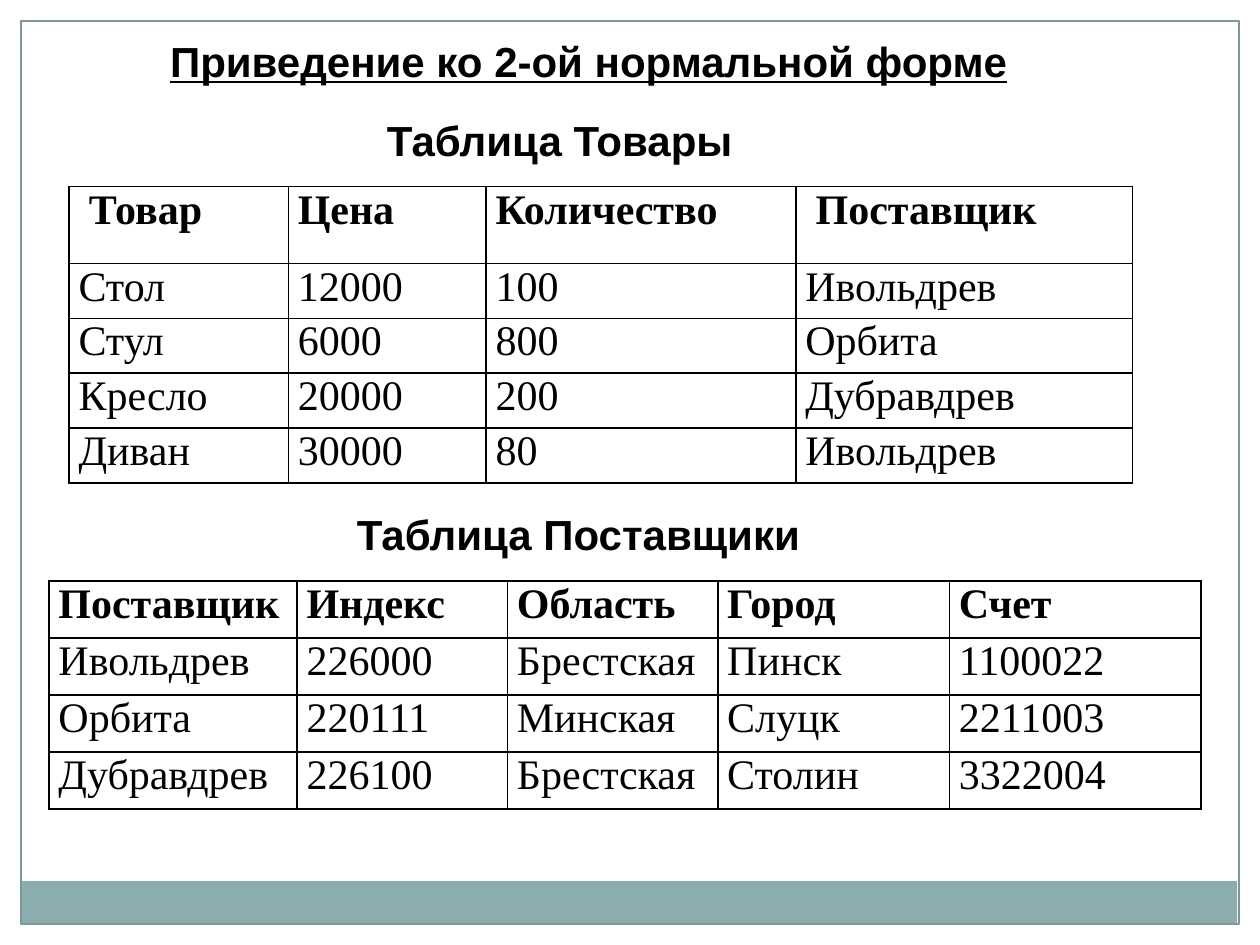
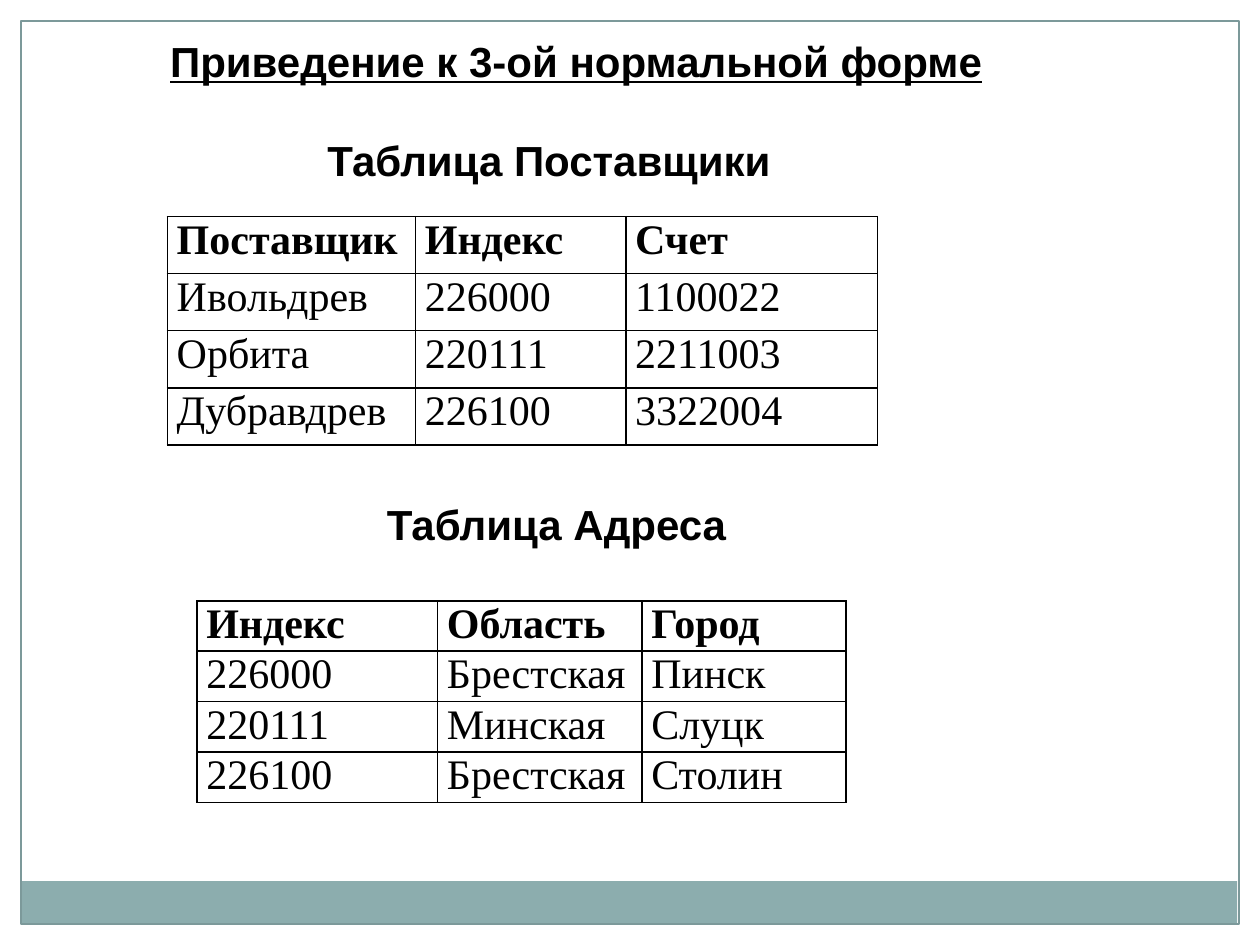
from lxml.etree import SubElement
from pptx import Presentation
from pptx.dml.color import RGBColor
from pptx.enum.shapes import MSO_SHAPE as Shape
from pptx.enum.text import MSO_ANCHOR as Anchor, MSO_AUTO_SIZE as AutoSize, PP_ALIGN as Align
from pptx.oxml.ns import qn
from pptx.util import Pt

BLACK = "000000"
BAND = "8CADAE"
FRAME = "7C999A"
HEADING_FONT = "Arial"
TABLE_FONT = "Times New Roman"
TEXT_SIZE = 24
HEADING_HEIGHT = 36

GOODS = [
    [" Товар", "Цена", "Количество", " Поставщик"],
    ["Стол", "12000", "100", "Ивольдрев"],
    ["Стул", "6000", "800", "Орбита"],
    ["Кресло", "20000", "200", "Дубравдрев"],
    ["Диван", "30000", "80", "Ивольдрев"],
]
SUPPLIERS = [
    ["Поставщик", "Индекс", "Область", "Город", "Счет"],
    ["Ивольдрев", "226000", "Брестская", "Пинск", "1100022"],
    ["Орбита", "220111", "Минская", "Слуцк", "2211003"],
    ["Дубравдрев", "226100", "Брестская", "Столин", "3322004"],
]
GOODS_WIDTHS = [125.3, 113, 177, 192.3]
SUPPLIER_WIDTHS = [141.8, 120.2, 120.2, 132.4, 143.8]
ADDRESS_WIDTHS = [137.5, 116.8, 116.8]
SUPPLIER_ROW = 32.6


def colour(value):
    return RGBColor.from_string(value)


def pick(values, columns):
    return [values[column] for column in columns]


def project(rows, columns):
    return [pick(row, columns) for row in rows]


def set_font(paragraph, name, bold, underline=False):
    font = paragraph.font
    font.name = name
    font.size = Pt(TEXT_SIZE)
    font.bold = bold
    font.underline = underline
    font.color.rgb = colour(BLACK)


def add_rectangle(page, left, top, width, height):
    box = page.shapes.add_shape(Shape.RECTANGLE, Pt(left), Pt(top), Pt(width), Pt(height))
    box.shadow.inherit = False
    return box


def decorate_layout(layout, page):
    band = add_rectangle(page, 12, 503.5, 695, 24.5)
    band.fill.solid()
    band.fill.fore_color.rgb = colour(BAND)
    band.line.fill.background()

    frame = add_rectangle(page, 12, 12, 696, 516)
    frame.fill.background()
    frame.line.color.rgb = colour(FRAME)
    frame.line.width = Pt(0.75)

    for shape in (band, frame):
        layout.shapes.element.append(shape.element)


def format_heading(box, left, top, width, text, underline=False):
    box.left, box.top = Pt(left), Pt(top)
    box.width, box.height = Pt(width), Pt(HEADING_HEIGHT)
    frame = box.text_frame
    frame.text = text
    frame.word_wrap = False
    frame.auto_size = AutoSize.SHAPE_TO_FIT_TEXT
    frame.vertical_anchor = Anchor.TOP
    paragraph = frame.paragraphs[0]
    paragraph.alignment = Align.LEFT
    set_font(paragraph, HEADING_FONT, True, underline)


def add_page(deck, layout, title, width):
    page = deck.slides.add_slide(layout)
    format_heading(page.shapes.title, 90, 16.6, width, title, underline=True)
    return page


def add_caption(page, left, top, width, text):
    box = page.shapes.add_textbox(Pt(left), Pt(top), Pt(width), Pt(HEADING_HEIGHT))
    format_heading(box, left, top, width, text)


def add_borders(cell):
    properties = cell._tc.get_or_add_tcPr()
    for side in ("a:lnL", "a:lnR", "a:lnT", "a:lnB"):
        line = SubElement(properties, qn(side), w=str(Pt(1)))
        fill = SubElement(line, qn("a:solidFill"))
        SubElement(fill, qn("a:srgbClr"), val=BLACK)


def format_cell(cell, text, bold):
    cell.text = text
    cell.margin_left = cell.margin_right = Pt(5.4)
    cell.margin_top = cell.margin_bottom = 0
    add_borders(cell)
    cell.fill.background()
    paragraph = cell.text_frame.paragraphs[0]
    paragraph.alignment = Align.JUSTIFY
    set_font(paragraph, TABLE_FONT, bold)


def add_grid(page, left, top, widths, rows, row_height, header_height=None):
    heights = [header_height or row_height] + [row_height] * (len(rows) - 1)
    table = page.shapes.add_table(
        len(rows), len(widths), Pt(left), Pt(top), Pt(sum(widths)), Pt(sum(heights))
    ).table
    table.first_row = table.horz_banding = False
    for column, width in zip(table.columns, widths):
        column.width = Pt(width)
    for index, (row, height, texts) in enumerate(zip(table.rows, heights, rows)):
        row.height = Pt(height)
        for cell, text in zip(row.cells, texts):
            format_cell(cell, text, bold=index == 0)


def build_second_form(page):
    add_caption(page, 214, 62, 214, "Таблица Товары")
    add_grid(page, 39.5, 106.7, GOODS_WIDTHS, GOODS, 31.3, header_height=44)
    add_caption(page, 196.8, 286.8, 270, "Таблица Поставщики")
    add_grid(page, 28, 332, SUPPLIER_WIDTHS, SUPPLIERS, SUPPLIER_ROW)


def build_third_form(page):
    account_columns = [0, 1, 4]
    address_columns = [1, 2, 3]
    add_caption(page, 180, 73.3, 270, "Таблица Поставщики")
    add_grid(page, 95.6, 123.8, pick(SUPPLIER_WIDTHS, account_columns),
             project(SUPPLIERS, account_columns), SUPPLIER_ROW)
    add_caption(page, 214, 281.5, 210, "Таблица Адреса")
    add_grid(page, 112.5, 343.3, ADDRESS_WIDTHS, project(SUPPLIERS, address_columns), 28.8)


def main():
    deck = Presentation()
    deck.slide_width, deck.slide_height = Pt(720), Pt(540)
    layout = deck.slide_layouts.get_by_name("Title Only")

    second_form = add_page(deck, layout, "Приведение ко 2-ой нормальной форме", 497.5)
    decorate_layout(layout, second_form)
    build_second_form(second_form)

    third_form = add_page(deck, layout, "Приведение к 3-ой нормальной форме", 483)
    build_third_form(third_form)

    deck.save("out.pptx")


if __name__ == "__main__":
    main()
